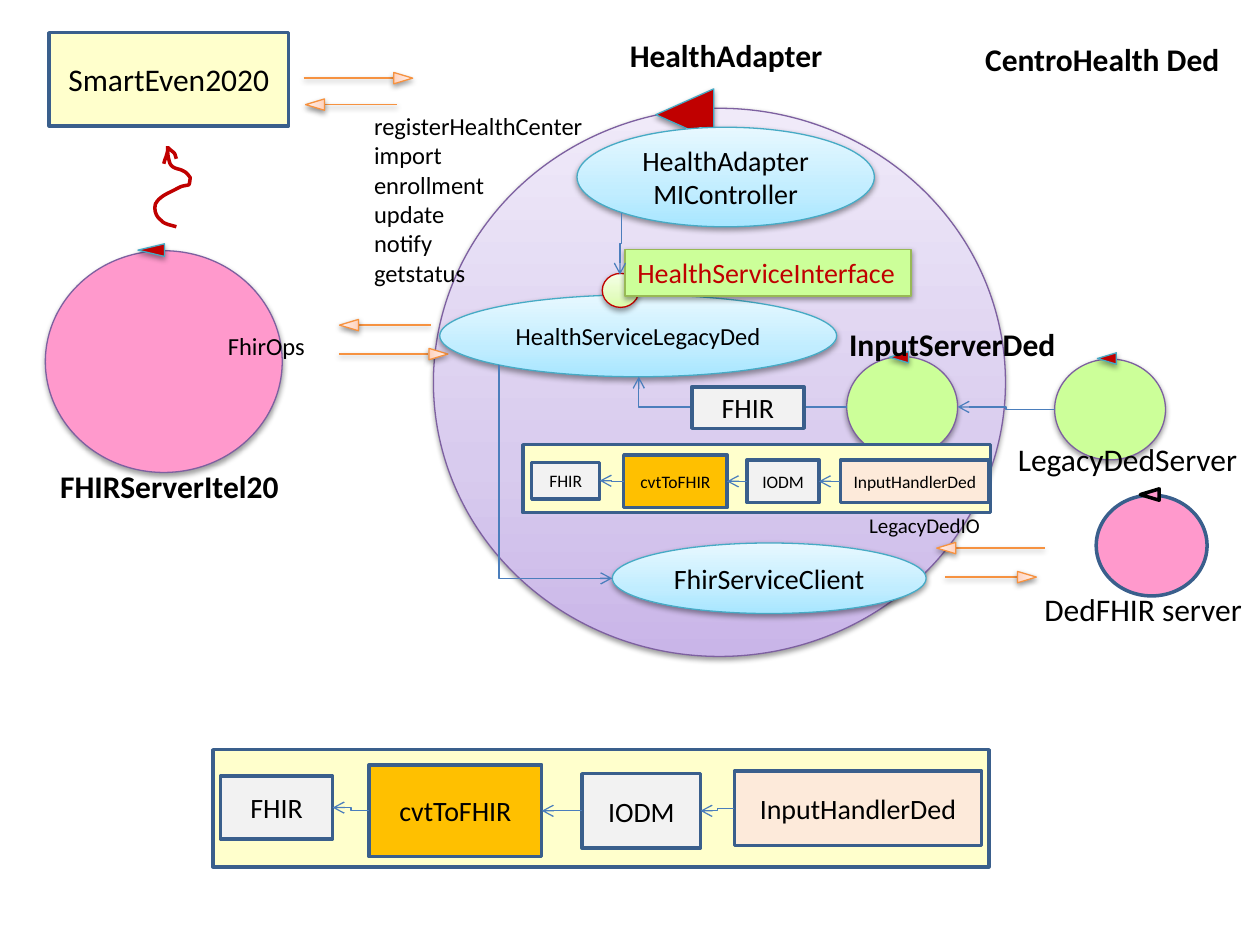
from copy import deepcopy

from lxml.etree import SubElement
from pptx import Presentation
from pptx.dml.color import RGBColor
from pptx.enum.shapes import MSO_CONNECTOR, MSO_SHAPE
from pptx.enum.text import MSO_ANCHOR, PP_ALIGN
from pptx.oxml.ns import qn
from pptx.util import Inches, Pt

FONT = "Calibri"
COLORS = {
    "black": "000000", "red": "C00000", "pink": "FF99CC", "green": "CCFF99",
    "cream": "FFFFCC", "amber": "FFC000", "peach": "FDEADA", "grey": "F2F2F2",
    "navy": "3A5F8C", "purple": "7D60A0", "teal": "46AAC5", "olive": "98B955",
    "orange": "F69240", "blue": "4B7EBC",
}
# From bottom to top
GRADIENTS = {
    "lilac": ("C9B5E8", "D8CBEE", "F0EAF9"),
    "sky": ("A7E6FF", "C1EDFF", "E7F8FF"),
    "apricot": ("FFD2BD", "FFDED0", "FFF2ED"),
    "lime": ("DAFDA7", "E4FCC2", "F5FFE7"),
}
STAGES = (("FHIR", "grey"), ("cvtToFHIR", "amber"), ("IODM", "grey"),
          ("InputHandlerDed", "peach"))


def rgb(name):
    return RGBColor.from_string(COLORS[name])


def inches(values):
    return [Inches(value) for value in values]


def add_shadow(effects):
    shadow = SubElement(effects, qn("a:outerShdw"), blurRad="40000", dist="20000",
                        dir="5400000", rotWithShape="0")
    color = SubElement(shadow, qn("a:srgbClr"), val=COLORS["black"])
    SubElement(color, qn("a:alpha"), val="38000")


def fill_shape(shape, name):
    if name not in GRADIENTS:
        shape.fill.solid()
        shape.fill.fore_color.rgb = rgb(name)
        return
    shape.fill.gradient()
    shape.fill.gradient_angle = 90
    stop_list = shape._element.spPr.find(qn("a:gradFill")).find(qn("a:gsLst"))
    stop_list.insert(1, deepcopy(stop_list[0]))
    for stop, position, value in zip(shape.fill.gradient_stops, (0, 0.35, 1), GRADIENTS[name]):
        stop.position = position
        stop.color.rgb = RGBColor.from_string(value)


def write_lines(frame, lines, size, color="black", bold=False, align=PP_ALIGN.LEFT):
    for index, line in enumerate(lines):
        para = frame.add_paragraph() if index else frame.paragraphs[0]
        para.alignment = align
        span = para.add_run()
        span.text = line
        span.font.name = FONT
        span.font.size = Pt(size)
        span.font.bold = bold
        span.font.color.rgb = rgb(color)


def add_figure(page, kind, bounds, fill, line, weight=0.75, rotation=0):
    """Add a preset shape; thin outlines go with a soft shadow."""
    shape = page.shapes.add_shape(kind, *inches(bounds))
    shape.rotation = rotation
    fill_shape(shape, fill)
    shape.line.color.rgb = rgb(line)
    shape.line.width = Pt(weight)
    shape.shadow.inherit = False
    if weight < 1:
        add_shadow(shape._element.spPr.find(qn("a:effectLst")))
    return shape


def add_box(page, bounds, fill, text=None, size=16):
    box = add_figure(page, MSO_SHAPE.RECTANGLE, bounds, fill, "navy", 2)
    if text:
        box.text_frame.word_wrap = False
        box.text_frame.vertical_anchor = MSO_ANCHOR.MIDDLE
        write_lines(box.text_frame, [text], size, align=PP_ALIGN.CENTER)
    return box


def add_component(page, bounds, text, size=16):
    oval = add_figure(page, MSO_SHAPE.OVAL, bounds, "sky", "teal")
    oval.text_frame.word_wrap = True
    oval.text_frame.vertical_anchor = MSO_ANCHOR.MIDDLE
    write_lines(oval.text_frame, [text], size, align=PP_ALIGN.CENTER)


def add_label(page, bounds, *lines, size=18, bold=False):
    label = page.shapes.add_textbox(*inches(bounds))
    label.text_frame.word_wrap = False
    write_lines(label.text_frame, lines, size, bold=bold)


def add_server(page, bounds, flag, fill, outline="purple", flag_fill="red",
               flag_line="teal", weight=0.75):
    """Add a round server with a flag that points left on its rim."""
    add_figure(page, MSO_SHAPE.OVAL, bounds, fill, outline, weight)
    add_figure(page, MSO_SHAPE.ISOSCELES_TRIANGLE, flag, flag_fill, flag_line, weight, 270)


def add_line(page, kind, start, end, color):
    line = page.shapes.add_connector(kind, *inches(start + end))
    line.line.color.rgb = rgb(color)
    line.line.width = Pt(0.75)
    effects = SubElement(line._element.spPr, qn("a:effectLst"))
    return line, effects


def add_message(page, left, y, head_x, rotation):
    """Add an orange arrow whose head is centred at head_x."""
    effects = add_line(page, MSO_CONNECTOR.STRAIGHT, (left, y), (left + 0.71, y), "orange")[1]
    add_shadow(effects)
    add_figure(page, MSO_SHAPE.ISOSCELES_TRIANGLE, (head_x - 0.045, y - 0.075, 0.09, 0.15),
               "apricot", "orange", rotation=rotation)


def add_elbow(page, start, end, corner=False, vertical=False):
    """Add a bent arrow; corner gives one bend, vertical leaves the start up or down."""
    (x1, y1), (x2, y2) = start, end
    rotation = 0
    if vertical:
        middle_x, middle_y = (x1 + x2) / 2, (y1 + y2) / 2
        half_width, half_height = (y2 - y1) / 2, abs(x2 - x1) / 2
        rotation = 90
        if x2 > x1:
            rotation, half_width = 270, -half_width
        start = (middle_x - half_width, middle_y - half_height)
        end = (middle_x + half_width, middle_y + half_height)
    elbow = add_line(page, MSO_CONNECTOR.ELBOW, start, end, "blue")[0]
    properties = elbow._element.spPr
    if rotation:
        properties.find(qn("a:xfrm")).set("rot", str(rotation * 60000))
    if corner:
        properties.find(qn("a:prstGeom")).set("prst", "bentConnector2")
    SubElement(properties.find(qn("a:ln")), qn("a:tailEnd"), type="arrow")
    return elbow


def add_pipeline(page, frame, stage_bounds, size):
    add_box(page, frame, "cream")
    boxes = [add_box(page, bounds, fill, text, size)
             for bounds, (text, fill) in zip(stage_bounds, STAGES)]
    for target, source in zip(boxes, boxes[1:]):
        elbow = add_elbow(page, (1, 1), (0, 0))
        elbow.begin_connect(source, 1)
        elbow.end_connect(target, 3)


def add_curve(page, start, *segments):
    """Draw cubic segments, each given as two controls and an end point."""
    points = []
    origin = start
    for first, second, end in segments:
        for step in range(1, 9):
            t = step / 8
            weights = ((1 - t) ** 3, 3 * t * (1 - t) ** 2, 3 * t * t * (1 - t), t ** 3)
            corners = (origin, first, second, end)
            points.append(tuple(Inches(sum(w * c[axis] for w, c in zip(weights, corners)))
                                for axis in (0, 1)))
        origin = end
    builder = page.shapes.build_freeform(*inches(start))
    builder.add_line_segments(points, close=False)
    curve = builder.convert_to_shape()
    curve.fill.background()
    curve.line.color.rgb = rgb("red")
    curve.line.width = Pt(2)
    curve.shadow.inherit = False


def add_event_squiggle(page):
    add_curve(page, (1.4, 1.8),
              ((1.37, 1.79), (1.3, 1.78), (1.28, 1.75)),
              ((1.25, 1.73), (1.23, 1.69), (1.23, 1.66)),
              ((1.23, 1.64), (1.23, 1.62), (1.24, 1.61)),
              ((1.26, 1.57), (1.32, 1.54), (1.34, 1.53)),
              ((1.36, 1.52), (1.42, 1.49), (1.44, 1.48)),
              ((1.51, 1.46), (1.5, 1.49), (1.51, 1.41)),
              ((1.48, 1.37), (1.48, 1.37), (1.44, 1.35)),
              ((1.42, 1.34), (1.37, 1.34), (1.35, 1.3)),
              ((1.33, 1.24), (1.33, 1.21), (1.33, 1.16)))
    add_curve(page, (1.34, 1.17), ((1.31, 1.28), (1.32, 1.23), (1.3, 1.3)))
    add_curve(page, (1.33, 1.17), ((1.4, 1.23), (1.38, 1.2), (1.4, 1.26)))


def main():
    deck = Presentation()
    deck.slide_width, deck.slide_height = Inches(10), Inches(7.5)
    page = deck.slides.add_slide(deck.slide_layouts[6])

    add_label(page, (4.9, 0.24, 1.74, 0.4), "HealthAdapter", bold=True)
    add_server(page, (3.44, 0.86, 4.54, 4.35), (5.23, 0.68, 0.41, 0.46), "lilac")
    add_component(page, (4.58, 1.01, 2.36, 0.79), "HealthAdapterMIController")
    add_component(page, (4.86, 4.31, 2.49, 0.56), "FhirServiceClient")
    add_message(page, 2.71, 2.58, 2.77, 270)
    add_message(page, 2.69, 2.81, 3.48, 90)
    add_component(page, (3.49, 2.34, 3.15, 0.65), "HealthServiceLegacyDed", 14)
    add_figure(page, MSO_SHAPE.OVAL, (4.78, 2.17, 0.29, 0.27), "lime", "red")
    interface = add_figure(page, MSO_SHAPE.RECTANGLE, (4.96, 1.98, 2.27, 0.37), "green", "olive")
    interface.text_frame.word_wrap = False
    write_lines(interface.text_frame, ["HealthServiceInterface"], 16, "red")
    add_message(page, 7.5, 4.58, 8.15, 90)
    add_message(page, 7.58, 4.35, 7.51, 270)

    add_server(page, (8.7, 3.93, 0.88, 0.8), (9.08, 3.85, 0.09, 0.15), "pink",
               "navy", "pink", "black", 2)
    add_label(page, (8.19, 4.63, 1.79, 0.4), "DedFHIR server")
    add_server(page, (8.37, 2.85, 0.88, 0.8), (8.74, 2.77, 0.09, 0.15), "green")
    add_label(page, (7.72, 0.27, 2.08, 0.4), "CentroHealth Ded", bold=True)
    add_elbow(page, (3.96, 2.9), (4.86, 4.59), corner=True, vertical=True)
    add_server(page, (0.36, 1.99, 1.88, 1.76), (1.15, 1.88, 0.1, 0.21), "pink")
    add_label(page, (0.38, 3.66, 1.94, 0.4), "FHIRServerItel20", bold=True)
    add_label(page, (2.87, 0.83, 1.88, 1.51), "registerHealthCenter", "import",
              "enrollment", "update", "notify", "getstatus", size=14)
    add_server(page, (6.72, 2.83, 0.88, 0.8), (7.09, 2.76, 0.09, 0.15), "green")
    add_label(page, (7.98, 3.44, 1.96, 0.4), "LegacyDedServer")
    add_elbow(page, (8.37, 3.25), (7.6, 3.23))

    add_pipeline(page, (4.15, 3.53, 3.71, 0.54),
                 ((4.22, 3.67, 0.54, 0.29), (4.95, 3.61, 0.82, 0.42),
                  (5.93, 3.65, 0.57, 0.34), (6.67, 3.65, 1.18, 0.34)), 10)
    add_label(page, (6.8, 4.02, 1.09, 0.3), "LegacyDedIO", size=12)
    add_label(page, (1.71, 2.58, 0.82, 0.34), "FhirOps", size=14)
    add_event_squiggle(page)
    add_box(page, (0.39, 0.26, 1.9, 0.74), "cream", "SmartEven2020", 18)
    add_message(page, 2.44, 0.83, 2.5, 270)
    add_message(page, 2.41, 0.62, 3.2, 90)
    add_pipeline(page, (1.69, 5.95, 6.16, 0.93),
                 ((1.75, 6.16, 0.89, 0.5), (2.93, 6.07, 1.37, 0.73),
                  (4.62, 6.14, 0.94, 0.59), (5.83, 6.12, 1.96, 0.59)), 16)

    add_elbow(page, (4.93, 1.69), (4.92, 2.18), vertical=True)
    add_elbow(page, (6.72, 3.23), (5.07, 2.99), corner=True)
    add_box(page, (5.49, 3.07, 0.89, 0.33), "grey", "FHIR")
    add_label(page, (6.64, 2.53, 1.85, 0.4), "InputServerDed", bold=True)
    deck.save("out.pptx")


if __name__ == "__main__":
    main()
